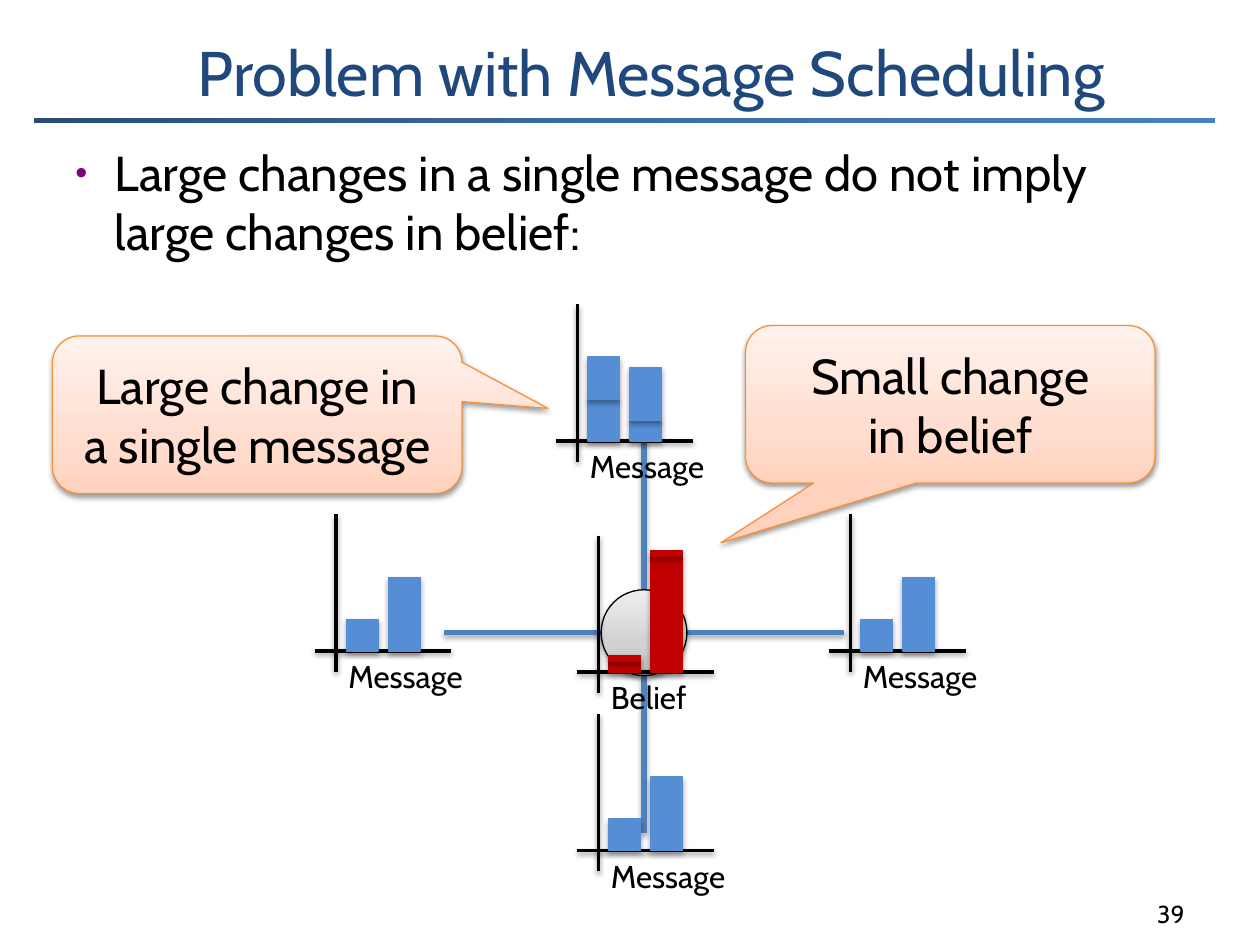
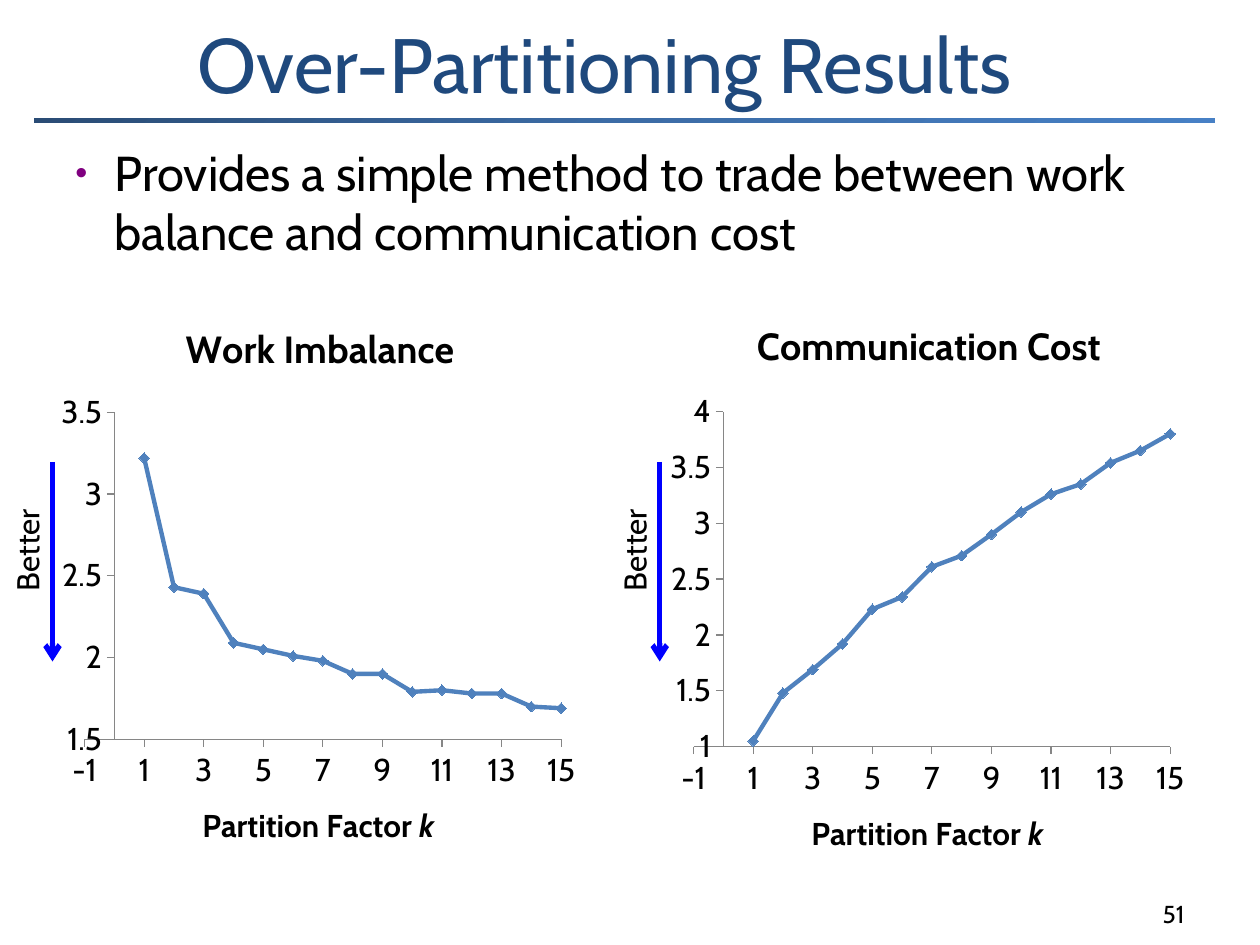
from pptx import Presentation, util as u
from pptx.chart import data as chartdata
from pptx.dml import color as dml
from pptx.enum import chart as charts, shapes, text
from pptx.oxml import ns, xmlchemy

FONT = "Cabin"
COLORS = {
    "title": "1F497D", "text": "000000", "bullet": "800080", "white": "FFFFFF",
    "edge": "4F81BD", "message": "558ED5", "belief": "C00000", "arrow": "0000FF",
    "callout": "F69240", "axis": "868686",
}
# Gradient stops as (percent, colour), with the clockwise angle
GRADIENTS = {
    "band": ([(0, "2A4C75"), (50, "3C6CA6"), (100, "4780C5")], 45),
    "node": ([(0, "BDBDBD"), (35, "D1D1D1"), (100, "EEEEEE")], 270),
    "callout": ([(0, "FFD2BD"), (35, "FFDED0"), (100, "FFF2ED")], 270),
}
ALIGN, ANCHOR = text.PP_ALIGN, text.MSO_ANCHOR
KIND = shapes.MSO_SHAPE


def rgb(name):
    return dml.RGBColor.from_string(COLORS.get(name, name))


def set_all(target, values):
    for name, value in values.items():
        setattr(target, name, value)


def add_xml(parent, tag, **attributes):
    child = xmlchemy.OxmlElement(tag)
    for name, value in attributes.items():
        child.set(name, str(value))
    parent.append(child)
    return child


class SlideWriter:
    """Holds the shared style and the slide being filled."""

    def __init__(self, deck):
        self.deck = deck
        self.slide = None

    def start(self, title, size, bullet, number):
        self.slide = self.deck.slides.add_slide(self.deck.slide_layouts[6])
        self.shape(KIND.RECTANGLE, (18, 66, 678, 6), "band", "white", 3, shadow=None)
        self.text([title], (106, 6, 590, 60), size, "title", anchor=ANCHOR.BOTTOM)
        self.bullet(bullet)
        self.text([str(number)], (534, 498, 150, 36), 14,
                  align=ALIGN.RIGHT, anchor=ANCHOR.BOTTOM)

    # Text
    def fill_frame(self, frame, lines, size, color="text", align=ALIGN.LEFT,
                   anchor=ANCHOR.TOP, wrap=True):
        set_all(frame, {"word_wrap": wrap, "vertical_anchor": anchor})
        for index, line in enumerate(lines):
            para = frame.add_paragraph() if index else frame.paragraphs[0]
            para.alignment = align
            span = para.add_run()
            span.text = line
            set_all(span.font, {"name": FONT, "size": u.Pt(size)})
            span.font.color.rgb = rgb(color)

    def text(self, lines, place, size, color="text", turn=0, **layout):
        box = self.slide.shapes.add_textbox(*map(u.Pt, place))
        box.rotation = turn
        self.fill_frame(box.text_frame, lines, size, color, **layout)
        return box

    def bullet(self, line):
        para = self.text([line], (36, 78, 654, 84), 28).text_frame.paragraphs[0]
        para.space_before = u.Pt(5.6)
        props = para._p.get_or_add_pPr()
        props.set("marL", str(u.Pt(22.5)))
        props.set("indent", str(-u.Pt(22.5)))
        add_xml(add_xml(props, "a:buClr"), "a:srgbClr", val=COLORS["bullet"])
        add_xml(props, "a:buSzPct", val=70000)
        add_xml(props, "a:buFont", typeface="Arial")
        add_xml(props, "a:buChar", char="•")

    # Shapes and lines
    def cast_shadow(self, effects, percent, distance):
        outer = add_xml(effects, "a:outerShdw", blurRad=u.Pt(3.1), dist=u.Pt(distance),
                        dir=90 * 60000, rotWithShape=0)
        tone = add_xml(outer, "a:srgbClr", val=COLORS["text"])
        add_xml(tone, "a:alpha", val=percent * 1000)

    def shape(self, kind, place, fill, line, width=0.75, shadow=(38, 1.6)):
        item = self.slide.shapes.add_shape(kind, *map(u.Pt, place))
        if fill in GRADIENTS:
            stops, angle = GRADIENTS[fill]
            item.fill.gradient()
            item.fill.gradient_angle = 360 - angle
            stop_list = item._element.spPr.find(".//" + ns.qn("a:gsLst"))
            for old in list(stop_list):
                stop_list.remove(old)
            for percent, tone in stops:
                stop = add_xml(stop_list, "a:gs", pos=percent * 1000)
                add_xml(stop, "a:srgbClr", val=tone)
        else:
            item.fill.solid()
            item.fill.fore_color.rgb = rgb(fill)
        item.line.color.rgb = rgb(line)
        item.line.width = u.Pt(width)
        item.shadow.inherit = False
        if shadow:
            self.cast_shadow(item._element.spPr.find(ns.qn("a:effectLst")), *shadow)
        return item

    def line(self, start, end, color, width, shadow=None, arrow=False):
        item = self.slide.shapes.add_connector(
            shapes.MSO_CONNECTOR.STRAIGHT, *map(u.Pt, (*start, *end)))
        item.line.color.rgb = rgb(color)
        item.line.width = u.Pt(width)
        if arrow:
            add_xml(item.line._get_or_add_ln(), "a:tailEnd", type="arrow")
        effects = add_xml(item._element.spPr, "a:effectLst")
        if shadow:
            self.cast_shadow(effects, *shadow)

    def callout(self, lines, left, top, tip):
        item = self.shape(KIND.ROUNDED_RECTANGULAR_CALLOUT, (left, top, 234, 90),
                          "callout", "callout")
        for index, value in enumerate((*tip, 0.17)):
            item.adjustments[index] = value
        self.fill_frame(item.text_frame, lines, 28, align=ALIGN.CENTER,
                        anchor=ANCHOR.MIDDLE, wrap=False)

    def bar_sketch(self, left, base, stacks, label="Message", color="message", width=83):
        """Two axes, stacked bars given from the base up, and a label."""
        axis_x = left + 12
        self.line((left, base), (left + 78, base), "text", 2, (38, 1.6))
        self.line((axis_x, base + 12), (axis_x, base - 78), "text", 2, (38, 1.6))
        for index, stack in enumerate(stacks):
            top = base
            for height in stack:
                top -= height
                self.shape(KIND.RECTANGLE, (left + 18 + 24 * index, top, 18, height),
                           color, color, shadow=(35, 1.8))
        self.text([label], (axis_x, base, width, 29), 18, wrap=False)

    # Charts
    def curve(self, title, place, values, low, high):
        data = chartdata.XyChartData()
        series = data.add_series("Series 1")
        for factor, value in enumerate(values, 1):
            series.add_data_point(factor, value)
        chart = self.slide.shapes.add_chart(
            charts.XL_CHART_TYPE.XY_SCATTER_LINES, *map(u.Pt, place), data).chart
        set_all(chart, {"has_legend": False, "has_title": True})
        set_all(chart.font, {"name": FONT, "size": u.Pt(18)})
        chart.font.color.rgb = rgb("text")
        self.chart_title(chart.chart_title, [title], 21.6)
        self.chart_title(chart.category_axis.axis_title, ["Partition Factor ", "k"], 18)

        # Axes
        scales = ((chart.category_axis, -1, 15, 2), (chart.value_axis, low, high, 0.5))
        for axis, least, most, step in scales:
            set_all(axis, {
                "minimum_scale": least, "maximum_scale": most, "major_unit": step,
                "has_major_gridlines": False,
                "major_tick_mark": charts.XL_TICK_MARK.OUTSIDE,
                "minor_tick_mark": charts.XL_TICK_MARK.NONE,
            })
            axis.format.line.color.rgb = rgb("axis")
            axis.format.line.width = u.Pt(0.75)

        # Line and markers
        plot = chart.plots[0]
        plot.vary_by_categories = False
        line = plot.series[0]
        line.smooth = False
        line.format.line.color.rgb = rgb("edge")
        line.format.line.width = u.Pt(2.5)
        set_all(line.marker, {"style": charts.XL_MARKER_STYLE.DIAMOND, "size": 6})
        line.marker.format.fill.solid()
        line.marker.format.fill.fore_color.rgb = rgb("edge")
        line.marker.format.line.color.rgb = rgb("edge")

        # Fixed inner plot area
        area = chart._chartSpace.find(".//" + ns.qn("c:plotArea"))
        for old in area.findall(ns.qn("c:layout")):
            area.remove(old)
        layout = add_xml(area, "c:layout")
        area.insert(0, layout)
        manual = add_xml(layout, "c:manualLayout")
        settings = {"layoutTarget": "inner", "xMode": "edge", "yMode": "edge",
                    "x": 0.06, "y": 0.2, "w": 0.89, "h": 0.57}
        for name, value in settings.items():
            add_xml(manual, "c:" + name, val=value)

    def chart_title(self, title, parts, size):
        para = title.text_frame.paragraphs[0]
        for index, part in enumerate(parts):
            span = para.add_run()
            span.text = part
            set_all(span.font, {"name": FONT, "size": u.Pt(size), "bold": True,
                                "italic": index > 0})
            span.font.color.rgb = rgb("text")

    def better_arrow(self, x):
        self.line((x, 264), (x, 378), "arrow", 3, arrow=True)
        self.text(["Better"], (x - 46, 299, 63, 29), 18, turn=270, wrap=False)


def scheduling_slide(writer):
    writer.start("Problem with Message Scheduling", 36,
                 "Large changes in a single message do not imply large changes in belief:", 39)

    # Belief node and its four edges
    center_x, center_y, radius, reach = 368, 361.5, 24.5, 114.5
    for dx, dy in ((1, 0), (0, -1), (-1, 0), (0, 1)):
        near, far = [(center_x + dx * r, center_y + dy * r) for r in (radius, reach)]
        writer.line(near, far, "edge", 3, (35, 1.8))
    writer.shape(KIND.OVAL, (center_x - radius, center_y - radius, 2 * radius, 2 * radius),
                 "node", "text")

    # Messages around the belief
    for left, base in ((180, 372), (474, 372), (330, 486)):
        writer.bar_sketch(left, base, [[18], [42]])
    writer.bar_sketch(318, 252, [[24, 24], [12, 30]])
    writer.bar_sketch(330, 384, [[6, 3.6], [66, 3.6]], "Belief", "belief", 59)

    writer.callout(["Large change in", "a single message"], 30, 192, (0.71, -0.04))
    writer.callout(["Small change", "in belief"], 426, 186, (-0.56, 0.88))


def partitioning_slide(writer):
    writer.start("Over-Partitioning Results", 44,
                 "Provides a simple method to trade between work balance "
                 "and communication cost", 51)
    writer.curve("Communication Cost", (378, 168, 306, 336),
                 [1.05, 1.48, 1.69, 1.92, 2.23, 2.34, 2.61, 2.71, 2.9, 3.1,
                  3.26, 3.35, 3.54, 3.65, 3.8], 1, 4)
    writer.curve("Work Imbalance", (30, 170, 306, 328),
                 [3.22, 2.43, 2.39, 2.09, 2.05, 2.01, 1.98, 1.9, 1.9, 1.79,
                  1.8, 1.78, 1.78, 1.7, 1.69], 1.5, 3.5)
    for x in (30, 377):
        writer.better_arrow(x)


def main():
    deck = Presentation()
    set_all(deck, {"slide_width": u.Pt(720), "slide_height": u.Pt(540)})
    writer = SlideWriter(deck)
    scheduling_slide(writer)
    partitioning_slide(writer)
    deck.save("out.pptx")


if __name__ == "__main__":
    main()
